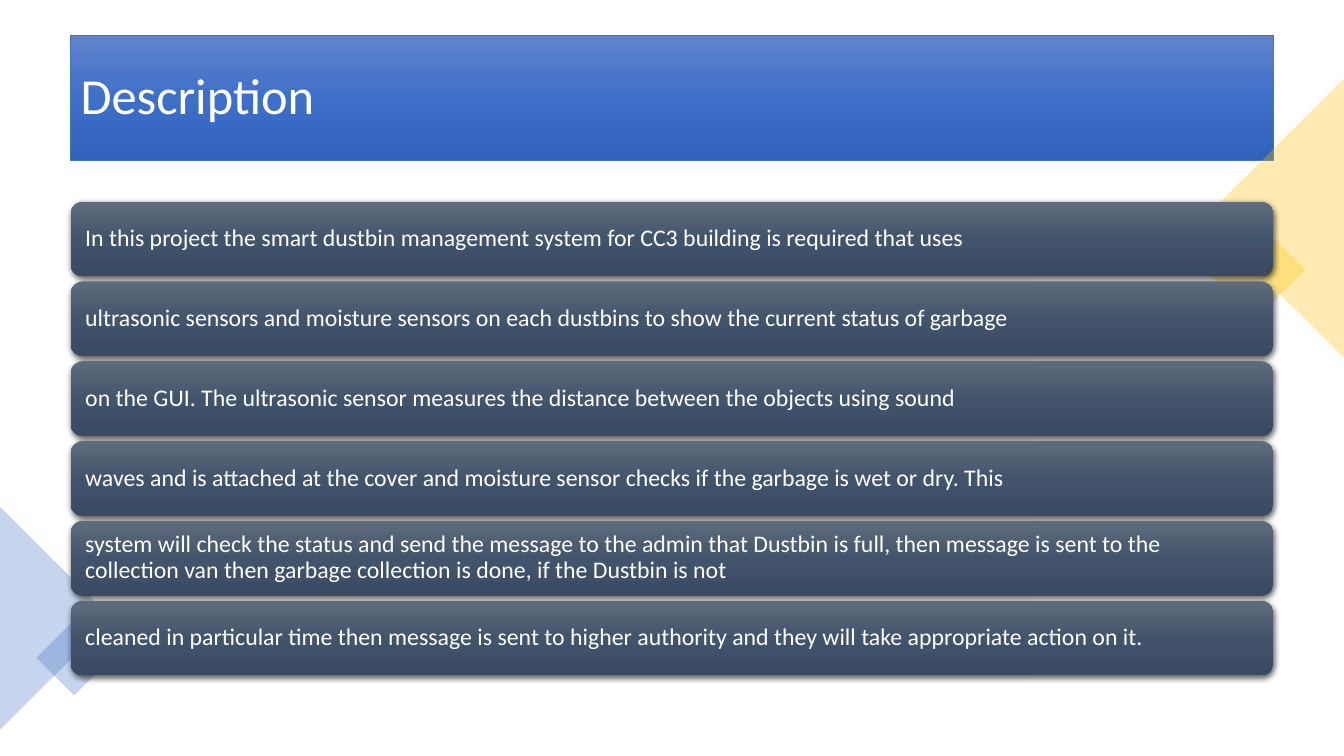
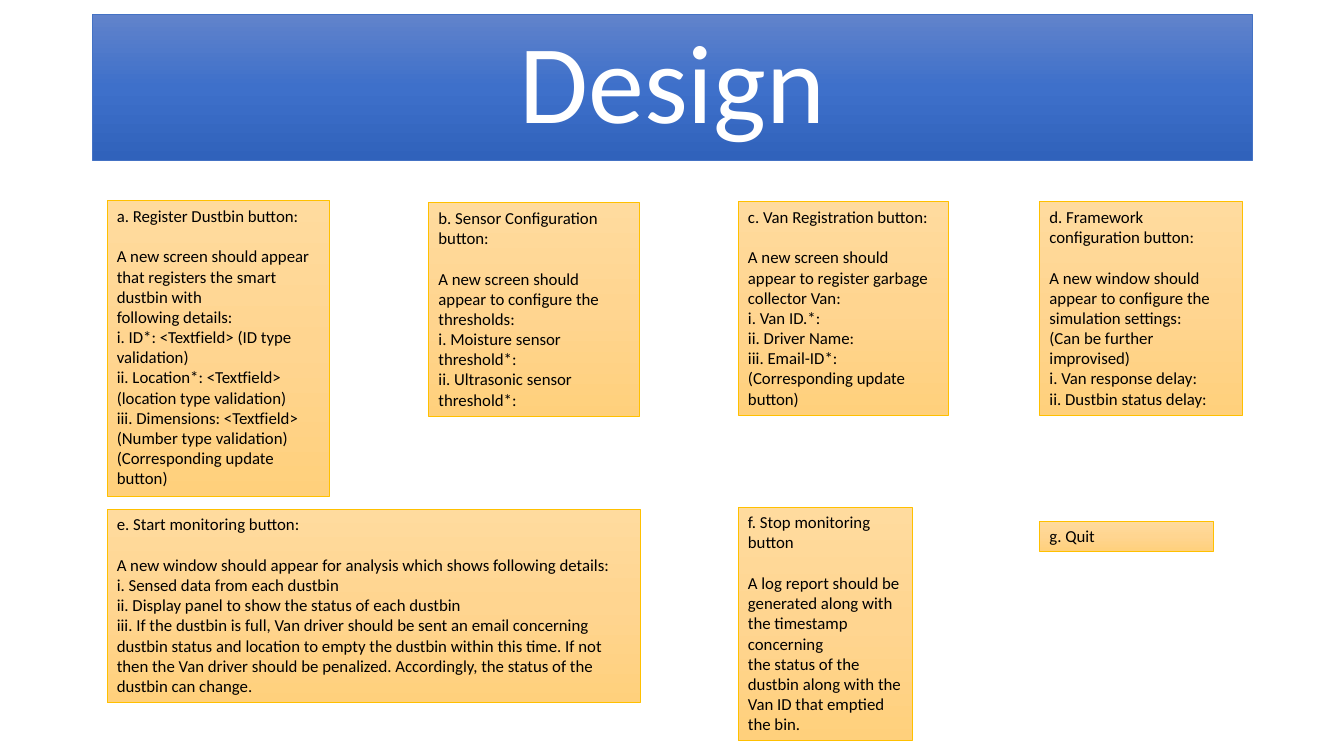
import copy
from dataclasses import dataclass

import lxml.etree
import pptx
import pptx.dml.color
import pptx.enum.shapes
import pptx.enum.text
import pptx.oxml.ns
import pptx.util

DESCRIPTION = {
    "title": "Description",
    "area": (70, 35, 1193, 124),
    "lines": [
        "In this project the smart dustbin management system for CC3 building is required that uses",
        "ultrasonic sensors and moisture sensors on each dustbins to show the current status of garbage",
        "on the GUI. The ultrasonic sensor measures the distance between the objects using sound",
        "waves and is attached at the cover and moisture sensor checks if the garbage is wet or dry. This",
        "system will check the status and send the message to the admin that Dustbin is full, then message "
        "is sent to the collection van then garbage collection is done, if the Dustbin is not",
        "cleaned in particular time then message is sent to higher authority and they will take "
        "appropriate action on it.",
    ],
}
CARDS_TOP, CARDS_BOTTOM, CARD_GAP = 200, 670, 5

# Preset name, area, rotation, theme colour
DECORATIONS = [
    ("RECTANGLE", (1209, 232, 71, 71), 45, "gold"),
    ("ISOSCELES_TRIANGLE", (1125, 147, 277, 139), 270, "gold"),
    ("ISOSCELES_TRIANGLE", (-55, 558, 221, 111), 90, "blue"),
    ("RECTANGLE", (47, 626, 53, 53), 45, "blue"),
]

DESIGN = {
    "title": "Design",
    "area": (92, 14, 1150, 145),
    "notes": [
        ((106, 199, 221, 293), "a. Register Dustbin button:", [
            "A new screen should appear that registers the smart dustbin with",
            "following details:",
            "i. ID*: <Textfield> (ID type validation)",
            "ii. Location*: <Textfield> (location type validation)",
            "iii. Dimensions: <Textfield> (Number type validation)",
            "(Corresponding update button)",
        ]),
        ((425, 201, 209, 212), "b. Sensor Configuration button:", [
            "A new screen should appear to configure the thresholds:",
            "i. Moisture sensor threshold*:",
            "ii. Ultrasonic sensor threshold*:",
        ]),
        ((732, 200, 209, 212), "c. Van Registration button:", [
            "A new screen should appear to register garbage collector Van:",
            "i. Van ID.*:",
            "ii. Driver Name:",
            "iii. Email-ID*:",
            "(Corresponding update button)",
        ]),
        ((1031, 200, 201, 212), "d. Framework configuration button:", [
            "A new window should appear to configure the simulation settings:",
            "(Can be further improvised)",
            "i. Van response delay:",
            "ii. Dustbin status delay:",
        ]),
        ((106, 505, 529, 192), "e. Start monitoring button:", [
            "A new window should appear for analysis which shows following details:",
            "i. Sensed data from each dustbin",
            "ii. Display panel to show the status of each dustbin",
            "iii. If the dustbin is full, Van driver should be sent an email concerning",
            "dustbin status and location to empty the dustbin within this time. If not",
            "then the Van driver should be penalized. Accordingly, the status of the",
            "dustbin can change.",
        ]),
        ((732, 503, 173, 232), "f. Stop monitoring button", [
            "A log report should be generated along with the timestamp concerning",
            "the status of the dustbin along with the Van ID that emptied the bin.",
        ]),
        ((1031, 517, 173, 30), "g. Quit", []),
    ],
}


@dataclass(frozen=True)
class Theme:
    font: str = "Calibri"
    white: str = "FFFFFF"
    black: str = "000000"
    blue: str = "4472C4"
    gold: str = "FFC000"
    title_fill: tuple = ("6183CB", "3E70CA", "3062BB")
    card_fill: tuple = ("606B7D", "42546C", "394A62")
    note_fill: tuple = ("FFDB9E", "FFD590", "FFD07C")
    title_size: int = 36
    large_title_size: int = 80
    card_size: int = 17
    note_size: int = 12
    note_gap: float = 14.6
    outline: float = 0.5
    decoration_alpha: int = 30


THEME = Theme()
SLIDE_SIZE = (1333, 750)
EMU_PER_PX = 9144
ALIGN = pptx.enum.text.PP_ALIGN
ANCHOR = pptx.enum.text.MSO_ANCHOR
AUTO_SIZE = pptx.enum.text.MSO_AUTO_SIZE
PRESET = pptx.enum.shapes.MSO_SHAPE
rgb = pptx.dml.color.RGBColor.from_string
qn = pptx.oxml.ns.qn


def px(length):
    return pptx.util.Emu(round(length * EMU_PER_PX))


def add_box(page, preset, area):
    box = page.shapes.add_shape(preset, *map(px, area))
    box.shadow.inherit = False
    box.line.fill.background()
    return box


def fill_gradient(shape, colors):
    """Fill from top to bottom with three evenly spaced colours."""
    fill = shape.fill
    fill.gradient()
    fill.gradient_angle = 270
    stop_list = shape.element.spPr.find(f"{qn('a:gradFill')}/{qn('a:gsLst')}")
    stop_list.append(copy.deepcopy(stop_list[-1]))
    for index, (stop, color) in enumerate(zip(fill.gradient_stops, colors)):
        stop.position = index / (len(colors) - 1)
        stop.color.rgb = rgb(color)


def set_outline(shape, color):
    shape.line.color.rgb = rgb(color)
    shape.line.width = pptx.util.Pt(THEME.outline)


def set_alpha(color_element, percent):
    alpha = lxml.etree.SubElement(color_element, qn("a:alpha"))
    alpha.set("val", str(percent * 1000))


def add_shadow(shape):
    effects = shape.element.spPr.find(qn("a:effectLst"))
    shadow = lxml.etree.SubElement(effects, qn("a:outerShdw"))
    for name, value in (("blurRad", pptx.util.Pt(4.5)), ("dist", pptx.util.Pt(1.5)),
                        ("dir", 5400000), ("algn", "ctr"), ("rotWithShape", 0)):
        shadow.set(name, str(value))
    color = lxml.etree.SubElement(shadow, qn("a:srgbClr"))
    color.set("val", THEME.black)
    set_alpha(color, 63)


def write(shape, lines, size, color, anchor, align=ALIGN.LEFT, spacing=1.0):
    frame = shape.text_frame
    frame.word_wrap = True
    frame.auto_size = AUTO_SIZE.NONE
    frame.vertical_anchor = anchor
    for index, line in enumerate(lines):
        para = frame.add_paragraph() if index else frame.paragraphs[0]
        para.alignment = align
        para.line_spacing = spacing
        span = para.add_run()
        span.text = line
        span.font.name = THEME.font
        span.font.size = pptx.util.Pt(size)
        span.font.color.rgb = rgb(color)
    return frame


def add_page(deck, content, size, align):
    """Add a slide with its title in a gradient band."""
    page = deck.slides.add_slide(deck.slide_layouts.get_by_name("Title Only"))
    title = page.shapes.title
    title.left, title.top, title.width, title.height = map(px, content["area"])
    fill_gradient(title, THEME.title_fill)
    set_outline(title, THEME.blue)
    write(title, [content["title"]], size, THEME.white, ANCHOR.MIDDLE, align, 0.9)
    return page


def add_decoration(page, preset_name, area, rotation, color_name):
    box = add_box(page, PRESET[preset_name], area)
    box.rotation = rotation
    box.fill.solid()
    box.fill.fore_color.rgb = rgb(getattr(THEME, color_name))
    set_alpha(box.element.spPr.find(f"{qn('a:solidFill')}/{qn('a:srgbClr')}"),
              THEME.decoration_alpha)


def add_card(page, area, line):
    card = add_box(page, PRESET.ROUNDED_RECTANGLE, area)
    fill_gradient(card, THEME.card_fill)
    add_shadow(card)
    frame = write(card, [line], THEME.card_size, THEME.white, ANCHOR.MIDDLE, spacing=0.9)
    frame.margin_left = frame.margin_right = px(11)


def add_note(page, area, heading, details):
    note = add_box(page, PRESET.RECTANGLE, area)
    fill_gradient(note, THEME.note_fill)
    set_outline(note, THEME.gold)
    frame = write(note, [heading, *details], THEME.note_size, THEME.black, ANCHOR.TOP)
    frame.auto_size = AUTO_SIZE.SHAPE_TO_FIT_TEXT
    if details:
        frame.paragraphs[0].space_after = pptx.util.Pt(THEME.note_gap)


def build_description(deck):
    page = add_page(deck, DESCRIPTION, THEME.title_size, ALIGN.LEFT)
    for decoration in DECORATIONS:
        add_decoration(page, *decoration)
    left, _, width, _ = DESCRIPTION["area"]
    lines = DESCRIPTION["lines"]
    pitch = (CARDS_BOTTOM - CARDS_TOP + CARD_GAP) / len(lines)
    for index, line in enumerate(lines):
        add_card(page, (left, CARDS_TOP + index * pitch, width, pitch - CARD_GAP), line)


def build_design(deck):
    page = add_page(deck, DESIGN, THEME.large_title_size, ALIGN.CENTER)
    for note in DESIGN["notes"]:
        add_note(page, *note)


def main():
    deck = pptx.Presentation()
    deck.slide_width, deck.slide_height = map(px, SLIDE_SIZE)
    build_description(deck)
    build_design(deck)
    deck.save("out.pptx")


if __name__ == "__main__":
    main()
